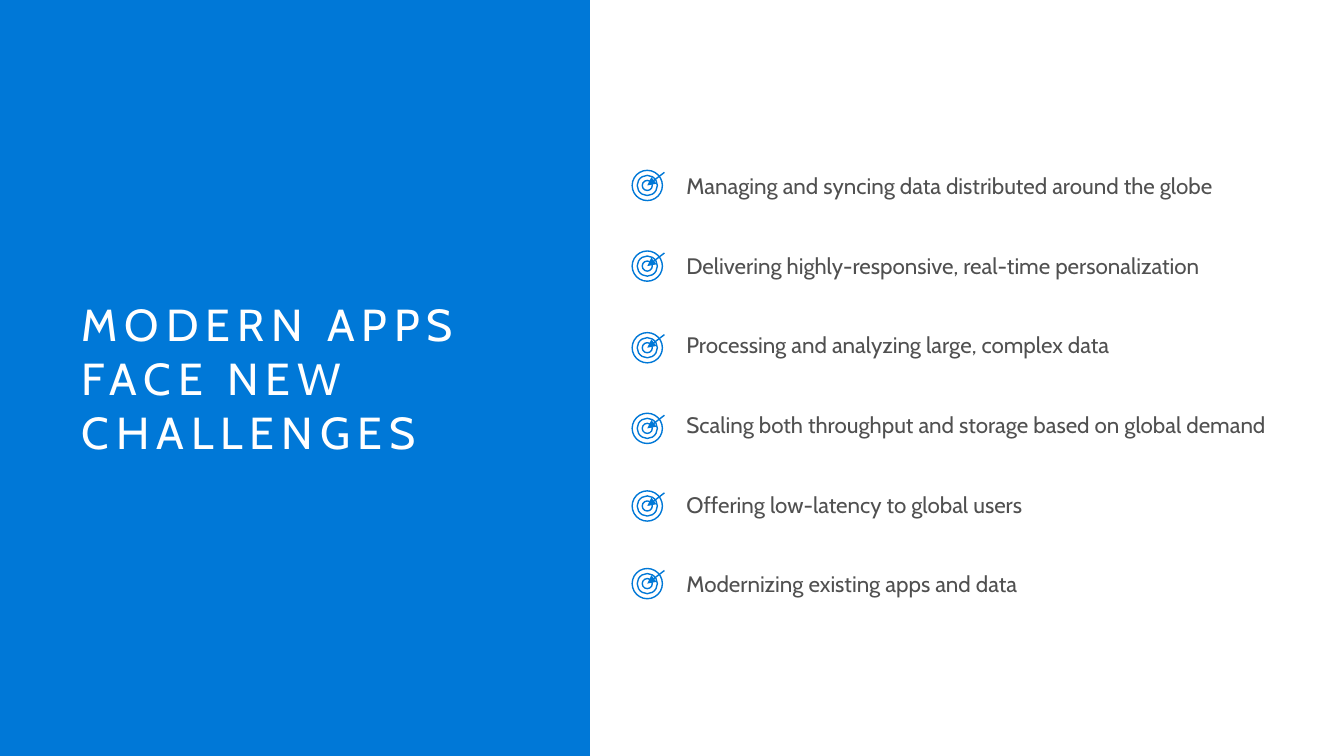
from lxml import etree
from pptx import Presentation
from pptx import util as u
from pptx.dml.color import RGBColor
from pptx.enum import shapes, text
from pptx.oxml import ns

COLORS = {"blue": "0078D7", "white": "FFFFFF", "grey": "505050"}
FONT = "Cabin"
TITLE = "MODERN APPS FACE NEW CHALLENGES"

# Each challenge with the top of its target icon
CHALLENGES = [
    ("Managing and syncing data distributed around the globe", 1.69),
    ("Delivering highly-responsive, real-time personalization", 2.49),
    ("Processing and analyzing large, complex data", 3.3),
    ("Scaling both throughput and storage based on global demand", 4.1),
    ("Offering low-latency to global users", 4.87),
    ("Modernizing existing apps and data", 5.64),
]


def color(name):
    return RGBColor.from_string(COLORS[name])


def add_text(slide, box, words, size, fill, anchor=text.MSO_ANCHOR.TOP,
             side_inset=0.1, inset=0.05, spacing=0):
    frame = slide.shapes.add_textbox(*map(u.Inches, box)).text_frame
    frame.word_wrap = True
    frame.vertical_anchor = anchor
    frame.margin_left = frame.margin_right = u.Inches(side_inset)
    frame.margin_top = frame.margin_bottom = u.Inches(inset)
    run = frame.paragraphs[0].add_run()
    run.text = words
    run.font.name = FONT
    run.font.size = u.Pt(size)
    run.font.color.rgb = color(fill)
    if spacing:
        run.font._element.set("spc", str(spacing * 100))


def add_title_panel(slide, left, top, width, height):
    panel = slide.shapes.add_shape(
        shapes.MSO_SHAPE.RECTANGLE, *map(u.Inches, (left, top, width, height)))
    panel.shadow.inherit = False
    panel.fill.solid()
    panel.fill.fore_color.rgb = color("blue")
    panel.line.fill.background()
    add_text(slide, (left + 0.65, top + 2.18, 4.54, 3.13), TITLE, 32, "white",
             anchor=text.MSO_ANCHOR.MIDDLE, side_inset=0.16, inset=0.1, spacing=5)


def add_target(slide, left, top, size):
    target = slide.shapes.add_group_shape()

    # Three concentric rings
    for step in range(3):
        offset = step * size / 6
        diameter = size - 2 * offset
        ring = target.shapes.add_shape(
            shapes.MSO_SHAPE.OVAL, u.Inches(left + offset), u.Inches(top + offset),
            u.Inches(diameter), u.Inches(diameter))
        ring.shadow.inherit = False
        ring.fill.solid()
        ring.fill.fore_color.rgb = color("white")
        ring.line.color.rgb = color("blue")
        ring.line.width = u.Pt(1)

    # Arrow into the centre
    arrow = target.shapes.add_connector(
        shapes.MSO_CONNECTOR.STRAIGHT, u.Inches(left + 0.32), u.Inches(top + 0.02),
        u.Inches(left + size / 2), u.Inches(top + size / 2))
    arrow.line.color.rgb = color("blue")
    arrow.line.width = u.Pt(1)
    etree.SubElement(arrow.line._get_or_add_ln(), ns.qn("a:tailEnd"), type="triangle")
    etree.SubElement(arrow._element.spPr, ns.qn("a:effectLst"))


def add_challenges(slide, left, top, width, pitch):
    for row, (challenge, target_top) in enumerate(CHALLENGES):
        add_text(slide, (left + 0.44, top + row * pitch, width - 0.44, 0.37),
                 challenge, 16, "grey")
        add_target(slide, left, target_top, 0.3)


def main():
    deck = Presentation()
    deck.slide_width, deck.slide_height = u.Inches(13.33), u.Inches(7.5)
    slide = deck.slides.add_slide(deck.slide_layouts[6])
    add_title_panel(slide, 0, 0, 5.85, 7.5)
    add_challenges(slide, 6.27, 1.66, 7.01, 0.79)
    deck.save("out.pptx")


if __name__ == "__main__":
    main()
